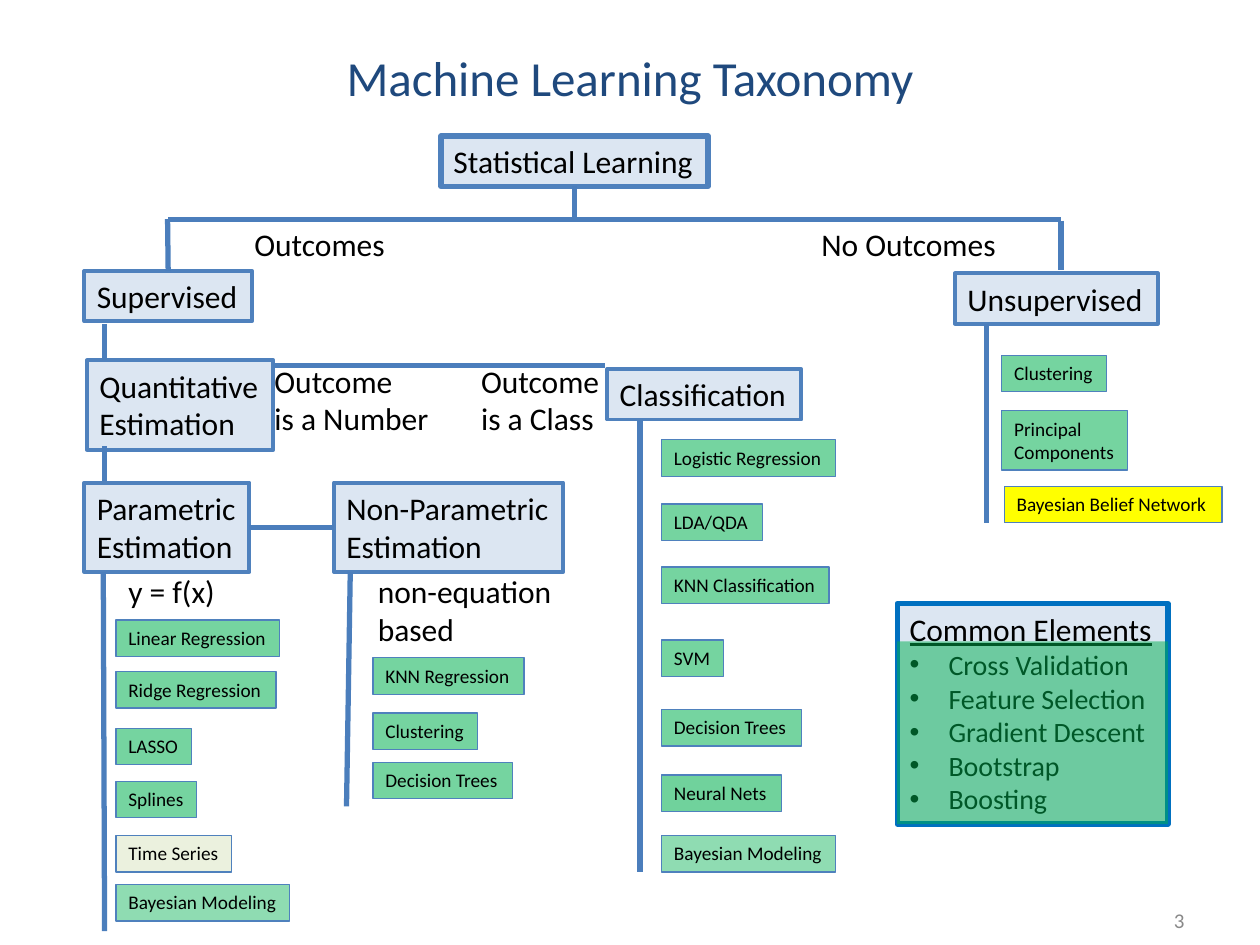
from dataclasses import dataclass
from typing import Optional

from lxml.etree import SubElement
from pptx import Presentation
from pptx.dml.color import RGBColor
from pptx.enum.shapes import MSO_CONNECTOR as CONN, MSO_SHAPE as SHAPE
from pptx.enum.text import MSO_ANCHOR as ANCHOR, MSO_AUTO_SIZE as AUTO, PP_ALIGN as ALIGN
from pptx.oxml.ns import qn
from pptx.util import Emu, Pt

PX = 9144  # EMU per px, 100 px to the inch
FONT = "Calibri"
BLACK = RGBColor(0x00, 0x00, 0x00)
NAVY = RGBColor(0x1F, 0x49, 0x7D)
GRAY = RGBColor(0x89, 0x89, 0x89)
PALE_BLUE = RGBColor(0xDC, 0xE6, 0xF2)
BORDER = RGBColor(0x4F, 0x81, 0xBD)
BRANCH = RGBColor(0x4B, 0x7E, 0xBC)
STRONG_BLUE = RGBColor(0x00, 0x70, 0xC0)
GREEN = RGBColor(0x00, 0xB0, 0x50)
CREAM = RGBColor(0xEB, 0xF1, 0xDE)
YELLOW = RGBColor(0xFF, 0xFF, 0x00)
BULLET_INDENT = 31
TAG_H = 29
TOP, LEFT, BOTTOM, RIGHT = range(4)


@dataclass
class Node:
    text: str
    x: int
    y: int
    w: int
    h: int = 40
    border: float = 2.25


@dataclass
class Label:
    text: str
    x: int
    y: int
    w: int
    h: int = 40


@dataclass
class Tag:
    text: str
    y: int
    w: int
    h: int = TAG_H
    fill: RGBColor = GREEN
    opacity: int = 54
    dx: int = 0


@dataclass
class Branch:
    x1: int
    y1: int
    x2: int
    y2: int
    begin: Optional[tuple[str, int]] = None
    end: Optional[tuple[str, int]] = None


NODES = [
    Node("Statistical Learning", 350, 108, 212, border=3),
    Node("Supervised", 67, 215, 133),
    Node("Unsupervised", 758, 217, 161),
    Node("Quantitative\nEstimation", 69, 286, 148, 71),
    Node("Classification", 482, 293, 154),
    Node("Parametric\nEstimation", 67, 383, 131, 71),
    Node("Non-Parametric\nEstimation", 265, 383, 182, 71),
]

BRANCHES = [
    Branch(456, 148, 456, 174, begin=("Statistical Learning", BOTTOM)),
    Branch(842, 174, 133, 174),
    Branch(133, 174, 133, 215, end=("Supervised", TOP)),
    Branch(842, 175, 842, 214),
    Branch(83, 257, 83, 286),
    Branch(480, 290, 217, 290),
    Branch(83, 354, 83, 382),
    Branch(265, 419, 198, 419, begin=("Non-Parametric\nEstimation", LEFT),
           end=("Parametric\nEstimation", RIGHT)),
    # Trunks beside the method lists
    Branch(82, 454, 83, 739),
    Branch(278, 454, 275, 640),
    Branch(508, 333, 508, 692),
    Branch(783, 257, 783, 415),
]

LABELS = [
    Label("Outcomes", 192, 174, 125),
    Label("No Outcomes", 642, 174, 160),
    Label("Outcome\nis a Number", 208, 282, 144, 71),
    Label("Outcome\nis a Class", 372, 282, 115, 71),
    Label("y = f(x)", 92, 449, 90),
    Label("non-equation\nbased", 290, 449, 160, 71),
]

# Method tags, keyed by the left edge of their column
TAG_COLUMNS = {
    92: [
        Tag("Linear Regression", 492, 130),
        Tag("Ridge Regression", 533, 127),
        Tag("LASSO", 578, 60),
        Tag("Splines", 620, 64),
        Tag("Time Series", 663, 92, fill=CREAM, opacity=100),
        Tag("Bayesian Modeling", 702, 138, opacity=44),
    ],
    296: [
        Tag("KNN Regression", 522, 120),
        Tag("Clustering", 566, 83),
        Tag("Decision Trees", 605, 111),
    ],
    525: [
        Tag("Logistic Regression", 349, 138),
        Tag("LDA/QDA", 400, 80),
        Tag("KNN Classification", 450, 133),
        Tag("SVM", 508, 49),
        Tag("Decision Trees", 563, 111),
        Tag("Neural Nets", 615, 95, opacity=56),
        Tag("Bayesian Modeling", 663, 138, opacity=44),
    ],
    795: [
        Tag("Clustering", 282, 83),
        Tag("Principal\nComponents", 326, 100, 47),
        Tag("Bayesian Belief Network", 386, 173, fill=YELLOW, opacity=100, dx=2),
    ],
}

COMMON = ["Cross Validation", "Feature Selection", "Gradient Descent", "Bootstrap", "Boosting"]


def px(*values: int) -> list[Emu]:
    return [Emu(v * PX) for v in values]


def add_para(tf, text: str, *, size=18, color=BLACK, align=ALIGN.LEFT,
             underline=False, bullet=False) -> None:
    """Write into the empty first paragraph, or add the next one."""
    p = tf.paragraphs[0] if not tf.paragraphs[0].runs else tf.add_paragraph()
    p.alignment = align
    if bullet:
        pPr = p._p.get_or_add_pPr()
        pPr.set("marL", str(BULLET_INDENT * PX))
        pPr.set("indent", str(-BULLET_INDENT * PX))
        SubElement(pPr, qn("a:buFont"), typeface="Arial")
        SubElement(pPr, qn("a:buChar"), char="•")
    r = p.add_run()
    r.text = text
    r.font.name, r.font.size, r.font.color.rgb = FONT, Pt(size), color
    r.font.underline = underline


def write(sp, text: str, *, anchor=ANCHOR.TOP, wrap=False, **fmt) -> None:
    tf = sp.text_frame
    tf.word_wrap = wrap
    tf.auto_size = AUTO.NONE if wrap else AUTO.SHAPE_TO_FIT_TEXT
    tf.vertical_anchor = anchor
    for line in text.split("\n"):
        add_para(tf, line, **fmt)


def add_rect(s, x: int, y: int, w: int, h: int, fill: RGBColor, *,
             opacity=100, border: Optional[RGBColor] = BORDER, weight=0.75):
    sp = s.shapes.add_shape(SHAPE.RECTANGLE, *px(x, y, w, h))
    sp.shadow.inherit = False
    sp.fill.solid()
    sp.fill.fore_color.rgb = fill
    if opacity < 100:
        clr = sp._element.spPr.find(qn("a:solidFill"))[0]
        SubElement(clr, qn("a:alpha"), val=str(opacity * 1000))
    if border is None:
        sp.line.fill.background()
    else:
        sp.line.color.rgb, sp.line.width = border, Pt(weight)
    return sp


def add_text(s, text: str, x: int, y: int, w: int, h: int, **fmt) -> None:
    write(s.shapes.add_textbox(*px(x, y, w, h)), text, **fmt)


def add_branch(s, b: Branch, boxes: dict) -> None:
    c = s.shapes.add_connector(CONN.STRAIGHT, *px(b.x1, b.y1, b.x2, b.y2))
    c.line.color.rgb, c.line.width = BRANCH, Pt(3)
    SubElement(c._element.spPr, qn("a:effectLst"))
    if b.begin:
        c.begin_connect(boxes[b.begin[0]], b.begin[1])
    if b.end:
        c.end_connect(boxes[b.end[0]], b.end[1])


def main() -> None:
    prs = Presentation()
    prs.slide_width, prs.slide_height = px(1000, 750)
    s = prs.slides.add_slide(prs.slide_layouts[6])

    # Title and slide number
    add_text(s, "Machine Learning Taxonomy", 50, 30, 900, 62, size=28, color=NAVY,
             align=ALIGN.CENTER, anchor=ANCHOR.MIDDLE, wrap=True)
    add_text(s, "3", 717, 710, 233, 40, size=12, color=GRAY,
             align=ALIGN.RIGHT, anchor=ANCHOR.MIDDLE, wrap=True)

    # Taxonomy tree
    boxes = {}
    for n in NODES:
        boxes[n.text] = add_rect(s, n.x, n.y, n.w, n.h, PALE_BLUE, weight=n.border)
        write(boxes[n.text], n.text)
    for b in BRANCHES:
        add_branch(s, b, boxes)
    for lb in LABELS:
        add_text(s, lb.text, lb.x, lb.y, lb.w, lb.h)

    # Methods
    for x, tags in TAG_COLUMNS.items():
        for t in tags:
            sp = add_rect(s, x + t.dx, t.y, t.w, t.h, t.fill, opacity=t.opacity)
            write(sp, t.text, size=11)

    # Common elements under a translucent green cover
    sp = add_rect(s, 712, 479, 215, 175, PALE_BLUE, border=STRONG_BLUE, weight=3)
    write(sp, "Common Elements", underline=True)
    for item in COMMON:
        add_para(sp.text_frame, item, size=16, bullet=True)
    add_rect(s, 712, 509, 215, 145, GREEN, opacity=50, border=None)

    prs.save("out.pptx")


if __name__ == "__main__":
    main()
